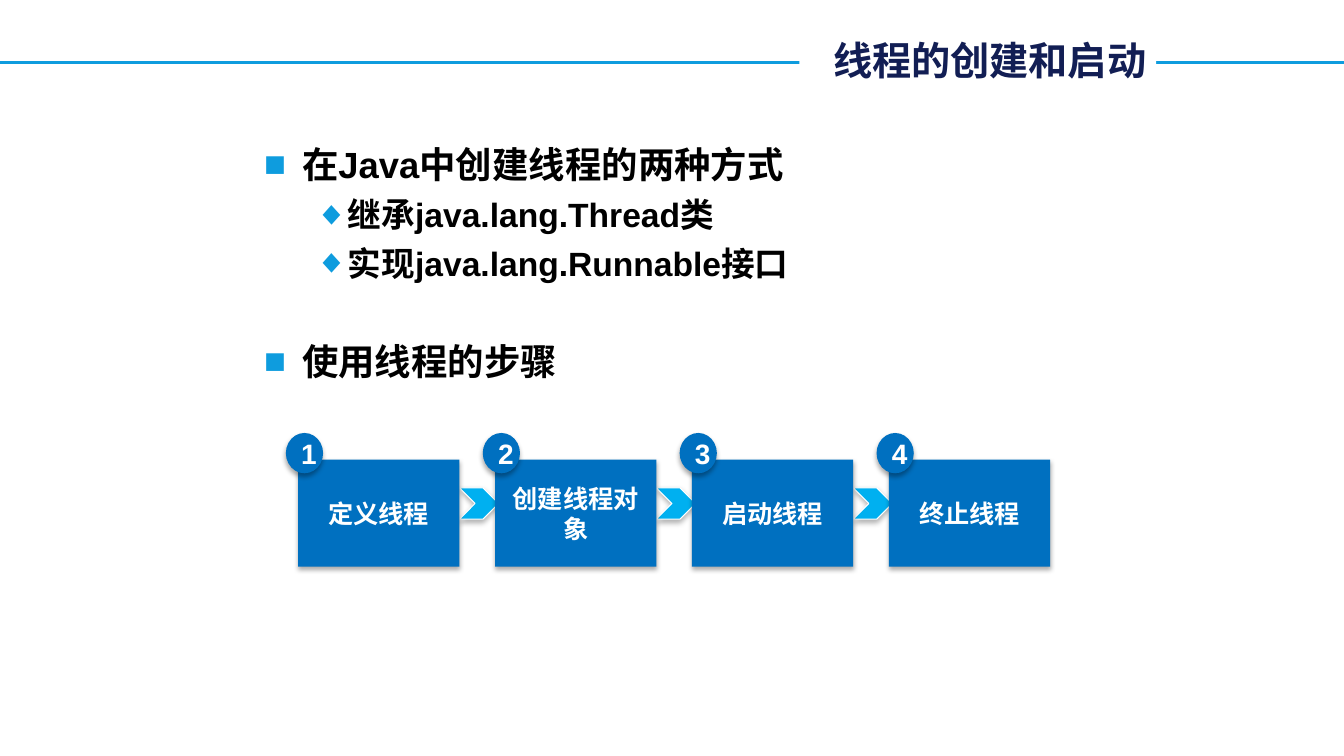
from lxml.etree import SubElement
from pptx import Presentation
from pptx.dml.color import RGBColor
from pptx.enum.shapes import MSO_CONNECTOR, MSO_SHAPE
from pptx.enum.text import MSO_ANCHOR, MSO_AUTO_SIZE, PP_ALIGN
from pptx.oxml.ns import qn
from pptx.util import Pt

WHITE = RGBColor(0xFF, 0xFF, 0xFF)
BLACK = RGBColor(0, 0, 0)
NAVY = RGBColor(0x12, 0x1E, 0x54)
SKY = RGBColor(0x0E, 0x9C, 0xDE)
BLUE = RGBColor(0x00, 0x70, 0xC0)
CYAN = RGBColor(0x00, 0xB0, 0xF0)

TITLE = "线程的创建和启动"
# text, level, space before
POINTS = [
    ("在Java中创建线程的两种方式", 0, 0),
    ("继承java.lang.Thread类", 1, 6),
    ("实现java.lang.Runnable接口", 1, 6),
    ("使用线程的步骤", 0, 40),
]
# bullet, size, left margin, hanging indent
LEVELS = [("■", 26, 27, 27), ("◆", 24, 58.5, 22.5)]
STEPS = ["定义线程", "创建线程对象", "启动线程", "终止线程"]
LEFT, TOP, WIDE, HIGH, PITCH = 213, 328.3, 115.2, 76.5, 140.65


def place(shape, *box):
    shape.left, shape.top, shape.width, shape.height = map(Pt, box)


def style(para, size, color, face="Arial"):
    """Format every run, with one face for Latin and Chinese text."""
    for run in para.runs:
        font = run.font
        font.size, font.bold, font.name = Pt(size), True, face
        font.color.rgb = color
        latin = font._element.find(qn("a:latin"))
        east = SubElement(font._element, qn("a:ea"), typeface=face)
        latin.addnext(east)


def shade(shape, alpha, blur, dist):
    shape.shadow.inherit = False
    effects = shape.element.spPr.find(qn("a:effectLst"))
    outer = SubElement(effects, qn("a:outerShdw"), blurRad=str(Pt(blur)),
                       dist=str(Pt(dist)), dir="5400000", rotWithShape="0")
    color = SubElement(outer, qn("a:srgbClr"), val=str(BLACK))
    SubElement(color, qn("a:alpha"), val=str(alpha * 1000))


def add_mark(para, mark, margin, hang):
    props = para._p.get_or_add_pPr()
    props.set("marL", str(Pt(margin)))
    props.set("indent", str(-Pt(hang)))
    color = SubElement(props, qn("a:buClr"))
    SubElement(color, qn("a:srgbClr"), val=str(SKY))
    SubElement(props, qn("a:buFont"), typeface="Arial")
    SubElement(props, qn("a:buChar"), char=mark)


def add_title(slide):
    title = slide.shapes.title
    place(title, 571, 22.3, 254.9, 41)
    title.fill.solid()
    title.fill.fore_color.rgb = WHITE
    frame = title.text_frame
    frame.text = TITLE
    frame.vertical_anchor = MSO_ANCHOR.MIDDLE
    frame.auto_size = MSO_AUTO_SIZE.NONE
    para = frame.paragraphs[0]
    para.alignment = PP_ALIGN.RIGHT
    style(para, 28, NAVY, "Noto Sans CJK SC")


def add_rule(slide):
    """Draw the line that runs behind the title."""
    rule = slide.shapes.add_connector(
        MSO_CONNECTOR.STRAIGHT, 0, Pt(44.8), Pt(960), Pt(44.8))
    rule.line.color.rgb = SKY
    rule.line.width = Pt(2.25)
    SubElement(rule.element.spPr, qn("a:effectLst"))
    slide.shapes.title.element.addprevious(rule.element)


def add_points(slide):
    body = slide.placeholders[1]
    place(body, 181.5, 98, 602, 402)
    frame = body.text_frame
    frame.auto_size = MSO_AUTO_SIZE.NONE
    frame.text = "\n".join(text for text, level, space in POINTS)
    for para, (text, level, space) in zip(frame.paragraphs, POINTS):
        mark, size, margin, hang = LEVELS[level]
        para.level = level
        add_mark(para, mark, margin, hang)
        para.space_before = Pt(space)
        para.line_spacing = 1.0
        style(para, size, BLACK)


def add_arrow(slide, left):
    arrow = slide.shapes.add_shape(
        MSO_SHAPE.CHEVRON, Pt(left), Pt(348.5), Pt(28), Pt(22.3))
    arrow.fill.solid()
    arrow.fill.fore_color.rgb = CYAN
    arrow.line.color.rgb = WHITE
    arrow.line.width = Pt(0.75)
    shade(arrow, 30, 4, 2)


def add_label(group, kind, box, text, size):
    shape = group.shapes.add_shape(kind, *map(Pt, box))
    shape.fill.solid()
    shape.fill.fore_color.rgb = BLUE
    shape.line.fill.background()
    shade(shape, 32, 3.5, 2.2)
    frame = shape.text_frame
    frame.text = text
    frame.word_wrap = True
    frame.vertical_anchor = MSO_ANCHOR.MIDDLE
    para = frame.paragraphs[0]
    para.alignment = PP_ALIGN.CENTER
    style(para, size, WHITE)


def add_step(slide, left, index, text):
    group = slide.shapes.add_group_shape()
    add_label(group, MSO_SHAPE.RECTANGLE, (left, TOP, WIDE, HIGH), text, 18)
    add_label(group, MSO_SHAPE.OVAL, (left - 8.8, TOP - 19, 26.6, 28.8),
              str(index), 20)


def main():
    deck = Presentation()
    deck.slide_width, deck.slide_height = Pt(960), Pt(540)
    slide = deck.slides.add_slide(deck.slide_layouts[1])
    add_title(slide)
    add_rule(slide)
    add_points(slide)
    lefts = [LEFT + PITCH * i for i in range(len(STEPS))]
    for left in lefts[:-1]:
        add_arrow(slide, left + WIDE)
    for index, (left, text) in enumerate(zip(lefts, STEPS), 1):
        add_step(slide, left, index, text)
    deck.save("out.pptx")


if __name__ == "__main__":
    main()
